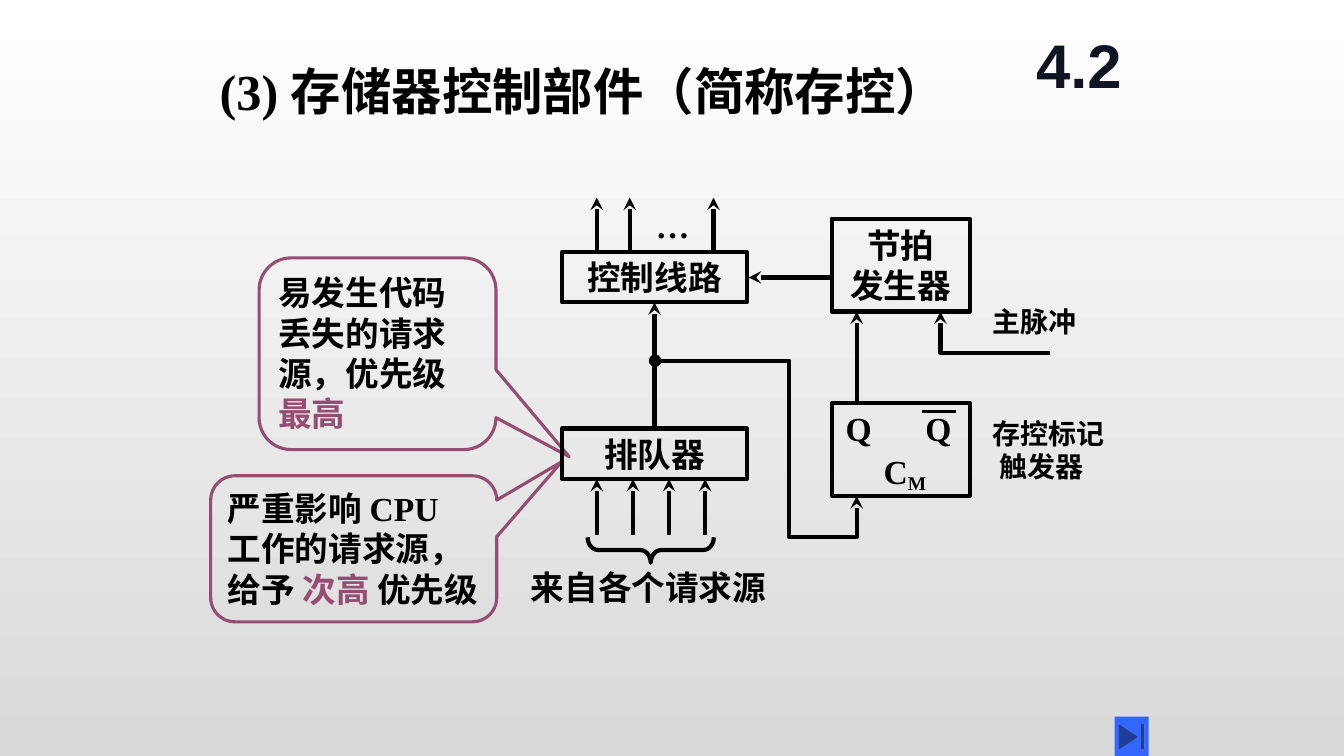
from lxml import etree
from pptx import Presentation
from pptx import util as u
from pptx.dml.color import RGBColor
from pptx.enum import shapes, text
from pptx.oxml.ns import qn

BLACK = RGBColor(0x00, 0x00, 0x00)
WHITE = RGBColor(0xFF, 0xFF, 0xFF)
GREY = RGBColor(0xD9, 0xD9, 0xD9)
PLUM = RGBColor(0x95, 0x4D, 0x72)
NAVY = RGBColor(0x0F, 0x14, 0x23)
BLUE = RGBColor(0x33, 0x66, 0xFF)
SERIF = "Times New Roman"
LEFT, CENTER = text.PP_ALIGN.LEFT, text.PP_ALIGN.CENTER
TOP, MIDDLE = text.MSO_ANCHOR.TOP, text.MSO_ANCHOR.MIDDLE
PRESET = shapes.MSO_SHAPE


def cm(*lengths):
    return [u.Cm(length) for length in lengths]


def write(box, lines, size=24, color=BLACK, font=SERIF, align=LEFT, anchor=TOP, wrap=False):
    frame = box.text_frame
    frame.word_wrap = wrap
    frame.auto_size = text.MSO_AUTO_SIZE.NONE
    frame.vertical_anchor = anchor
    for index, line in enumerate(lines):
        para = frame.paragraphs[0] if index == 0 else frame.add_paragraph()
        para.alignment = align
        para.font.size = u.Pt(size)
        para.font.name = font
        para.font.bold = True
        para.font.color.rgb = color
        for words, accent in [(line, None)] if isinstance(line, str) else line:
            span = para.add_run()
            span.text = words
            if accent is not None:
                span.font.color.rgb = accent


def label(page, area, lines, **style):
    box = page.shapes.add_textbox(*cm(*area))
    write(box, lines, **style)
    return box


def stroke(shape, color=BLACK, width=3.0, head=None, tail=None):
    shape.line.color.rgb = color
    shape.line.width = u.Pt(width)
    properties = shape.element.spPr
    outline = properties.find(qn("a:ln"))
    for tag, kind in (("a:headEnd", head), ("a:tailEnd", tail)):
        if kind:
            etree.SubElement(outline, qn(tag), type=kind)
    etree.SubElement(properties, qn("a:effectLst"))


def outline_shape(page, preset, area, color=BLACK, width=3.0):
    shape = page.shapes.add_shape(preset, *cm(*area))
    shape.fill.background()
    stroke(shape, color, width)
    return shape


def block(page, area, lines=()):
    shape = outline_shape(page, PRESET.RECTANGLE, area)
    write(shape, lines, align=CENTER, anchor=MIDDLE)
    return shape


def line(page, start, end, width=3.0, tail="stealth"):
    connector = page.shapes.add_connector(
        shapes.MSO_CONNECTOR.STRAIGHT, *cm(*start, *end))
    stroke(connector, width=width, tail=tail)
    return connector


def bent_line(page, left, top, offsets, head=None, tail=None):
    points = [cm(left + x, top + y) for x, y in offsets]
    builder = page.shapes.build_freeform(*points[0])
    builder.add_line_segments(points[1:], close=False)
    shape = builder.convert_to_shape()
    shape.fill.background()
    stroke(shape, head=head, tail=tail)


def heading(page, left, top):
    title = page.shapes.title
    title.left, title.top, title.width, title.height = cm(left, top + 0.97, 20.95, 1.8)
    write(title, ["(3) 存储器控制部件（简称存控）"], size=36, wrap=True)
    label(page, (left + 20.32, top, 3.18, 2.34), ["4.2"], size=44, color=NAVY,
          font="Arial", align=CENTER, anchor=MIDDLE, wrap=True)


def callout(page, area, pointer, lines, wrap):
    shape = outline_shape(page, PRESET.ROUNDED_RECTANGULAR_CALLOUT, area, PLUM, 2.25)
    for index, value in enumerate((*pointer, 0.167)):
        shape.adjustments[index] = value
    write(shape, lines, wrap=wrap)


def callouts(page, left, top):
    callout(page, (left + 1.22, top, 5.97, 4.83), (0.809, 0.537),
            ["易发生代码", "丢失的请求源，优先级", [("最高", PLUM)]], True)
    callout(page, (left, top + 5.49, 7.21, 3.68), (0.727, -0.596),
            ["严重影响 CPU", "工作的请求源，",
             [("给予 ", None), ("次高 ", PLUM), ("优先级", None)]], False)


def control_column(page, left, top):
    control = block(page, (left, top + 1.37, 4.65, 1.27), ["控制线路"])
    queue = block(page, (left, top + 5.82, 4.65, 1.27), ["排队器"])
    link = line(page, (left + 2.32, top + 5.82), (left + 2.32, top + 2.64))
    link.begin_connect(queue, 0)
    link.end_connect(control, 2)
    for x in (0.87, 1.7, 3.81):
        line(page, (left + x, top + 1.42), (left + x, top))
    label(page, (left + 2.11, top + 0.05, 1.35, 1.27), ["…"])
    for index in range(4):
        x = left + 0.87 + 0.91 * index
        line(page, (x, top + 8.51), (x, top + 7.09))
    brace = outline_shape(page, PRESET.LEFT_BRACE, (left + 1.91, top + 7.29, 0.64, 3.18))
    brace.rotation = 270
    brace.adjustments[0] = 0.413
    brace.adjustments[1] = 0.5
    label(page, (left - 1.04, top + 9.19, 6.43, 1.27), ["来自各个请求源"])


def timing_column(page, left, top):
    block(page, (left, top, 3.48, 2.34), ["节拍", "发生器"])
    block(page, (left, top + 4.65, 3.48, 2.34))
    for x in (0.1, 2.11):
        label(page, (left + x, top + 4.65, 1.17, 1.27), ["Q"])
    line(page, (left + 2.28, top + 4.85), (left + 3.12, top + 4.85), width=2.25, tail=None)
    mark = label(page, (left + 1.06, top + 5.72, 1.65, 1.27), ["C"])
    subscript = mark.text_frame.paragraphs[0].add_run()
    subscript.text = "M"
    subscript._r.get_or_add_rPr().set("baseline", "-20000")
    line(page, (left + 0.63, top + 4.65), (left + 0.63, top + 2.34))
    line(page, (left + 0.04, top + 1.48), (left - 2.09, top + 1.48))
    bent_line(page, left, top, [(5.51, 3.38), (2.74, 3.38), (2.74, 2.34)], tail="stealth")
    bent_line(page, left, top, [(0.63, 6.99), (0.63, 8.03), (-1.07, 8.03),
                                (-1.07, 3.58), (-4.45, 3.58)], head="stealth", tail="oval")
    label(page, (left + 3.81, top + 2.03, 2.62, 1.12), ["主脉冲"], size=20)
    label(page, (left + 3.81, top + 4.85, 6.35, 1.96), ["存控标记", " 触发器"],
          size=20, wrap=True)


def end_button(page, left, top):
    button = page.shapes.add_shape(PRESET.ACTION_BUTTON_END, *cm(left, top, 0.86, 1.02))
    button.shadow.inherit = False
    button.fill.solid()
    button.fill.fore_color.rgb = BLUE
    button.line.fill.background()


def backdrop(page):
    fill = page.background.fill
    fill.gradient()
    fill.gradient_angle = 270
    for stop, color in zip(fill.gradient_stops, (WHITE, GREY)):
        stop.color.rgb = color


def main():
    deck = Presentation()
    deck.slide_width, deck.slide_height = cm(33.87, 19.05)
    page = deck.slides.add_slide(deck.slide_layouts[5])
    backdrop(page)
    heading(page, 5.28, 0.43)
    callouts(page, 5.31, 6.5)
    control_column(page, 14.17, 4.98)
    timing_column(page, 20.96, 5.51)
    end_button(page, 28.09, 18.06)
    deck.save("out.pptx")


if __name__ == "__main__":
    main()
